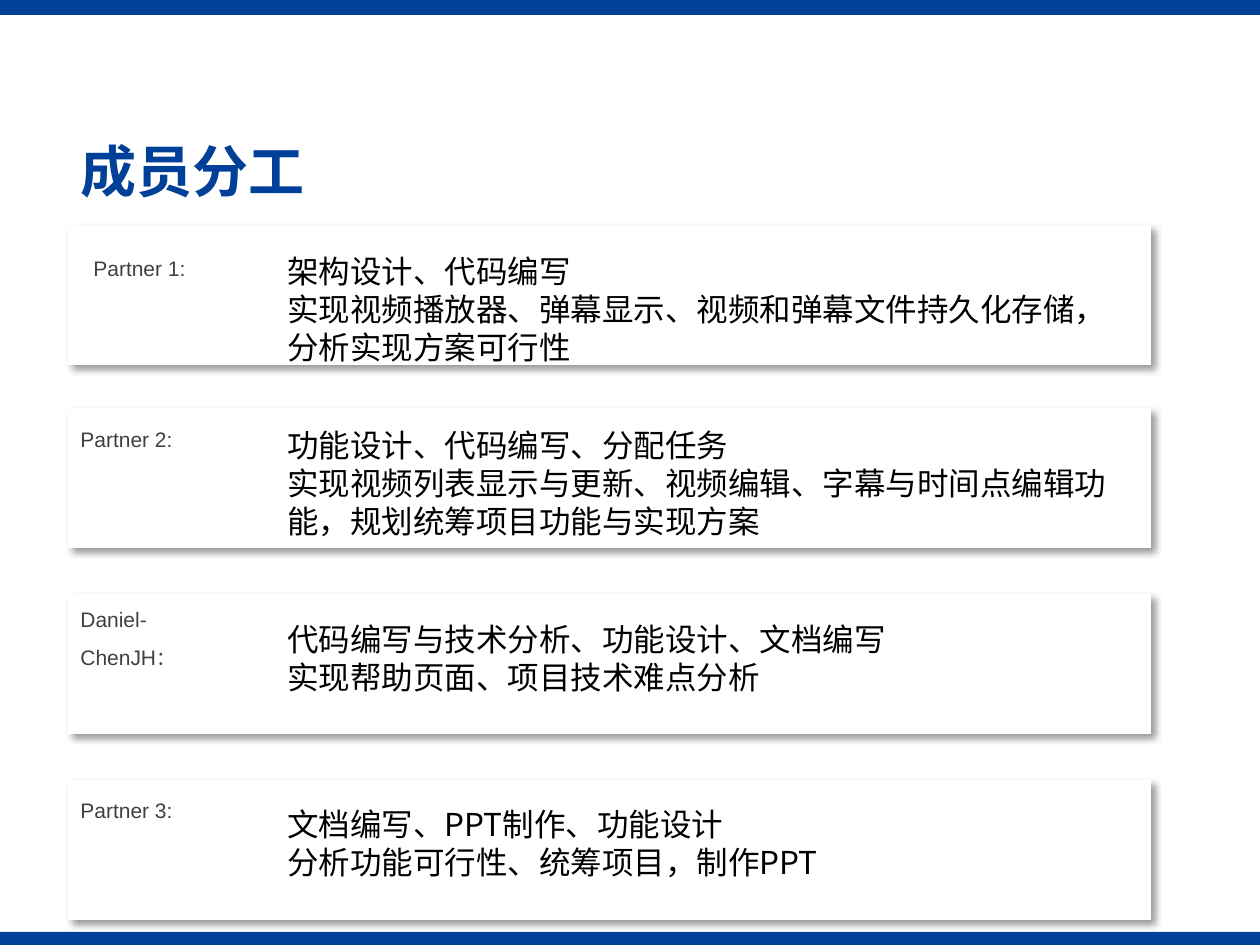
"""Build the slide on how the team members share the work."""
from lxml.etree import SubElement
from pptx import Presentation
from pptx.dml.color import RGBColor
from pptx.enum.shapes import MSO_SHAPE as Shape
from pptx.enum.text import MSO_ANCHOR as Anchor, MSO_AUTO_SIZE as AutoSize
from pptx.oxml.ns import qn
from pptx.util import Pt

COLORS = {"blue": "004098", "card": "FFFFFF", "text": "000000", "label": "404040"}
CJK, LATIN = "Noto Sans CJK SC", "Arial"
SCALE = 914400 / 126
WIDTH, HEIGHT = 1260, 945
TITLE = "成员分工"
BARS = [(0, 0, WIDTH, 15), (0, 932, WIDTH, 13)]
CARD_LEFT, CARD_WIDTH, CARD_HEIGHT = 68, 1083, 140
LABEL_WIDTH, LABEL_HEIGHT = 181, 47
TASK_LEFT, TASK_WIDTH = 275, 861

MEMBERS = [
    {"label": ["Partner 1:"], "card_top": 225, "label_at": (81, 237),
     "task_top": 246, "task_height": 127,
     "tasks": ["架构设计、代码编写",
               "实现视频播放器、弹幕显示、视频和弹幕文件持久化存储，分析实现方案可行性"]},
    {"label": ["Partner 2:"], "card_top": 408, "label_at": (68, 408),
     "task_top": 420, "task_height": 127,
     "tasks": ["功能设计、代码编写、分配任务",
               "实现视频列表显示与更新、视频编辑、字幕与时间点编辑功能，规划统筹项目功能与实现方案"]},
    {"label": ["Daniel-ChenJH", "："], "card_top": 594, "label_at": (68, 588),
     "task_top": 614, "task_height": 89,
     "tasks": ["代码编写与技术分析、功能设计、文档编写", "实现帮助页面、项目技术难点分析"]},
    {"label": ["Partner 3:"], "card_top": 780, "label_at": (68, 779),
     "task_top": 799, "task_height": 89,
     "tasks": ["文档编写、PPT制作、功能设计", "分析功能可行性、统筹项目，制作PPT"]},
]
LABEL_SIZES = [12, 11]


def px(*values):
    return [round(value * SCALE) for value in values]


def add_rectangle(slide, box, color):
    shape = slide.shapes.add_shape(Shape.RECTANGLE, *px(*box))
    shape.fill.solid()
    shape.fill.fore_color.rgb = RGBColor.from_string(COLORS[color])
    shape.line.fill.background()
    shape.shadow.inherit = False
    return shape


def add_card_shadow(shape):
    effects = shape._element.spPr.find(qn("a:effectLst"))
    shadow = SubElement(effects, qn("a:outerShdw"), blurRad=str(Pt(4)),
                        dist=str(Pt(3)), dir=str(45 * 60000),
                        algn="tl", rotWithShape="0")
    color = SubElement(shadow, qn("a:srgbClr"), val=COLORS["text"])
    SubElement(color, qn("a:alpha"), val="40000")


def style_run(run, size, font, color, bold=False):
    run.font.size = Pt(size)
    run.font.bold = bold
    run.font.color.rgb = RGBColor.from_string(COLORS[color])
    run.font.name = font
    SubElement(run._r.get_or_add_rPr(), qn("a:ea"), typeface=CJK)


def add_text_frame(slide, box, auto_size=AutoSize.SHAPE_TO_FIT_TEXT):
    text_frame = slide.shapes.add_textbox(*px(*box)).text_frame
    text_frame.word_wrap = True
    text_frame.auto_size = auto_size
    return text_frame


def add_title(slide):
    text_frame = add_text_frame(slide, (68, 135, 1154, 79), AutoSize.NONE)
    text_frame.vertical_anchor = Anchor.MIDDLE
    text_frame.text = TITLE
    paragraph = text_frame.paragraphs[0]
    paragraph.line_spacing = 0.9
    style_run(paragraph.runs[0], 32, CJK, "blue", True)


def add_member(slide, member):
    card = (CARD_LEFT, member["card_top"], CARD_WIDTH, CARD_HEIGHT)
    add_card_shadow(add_rectangle(slide, card, "card"))

    label = add_text_frame(slide, (*member["label_at"], LABEL_WIDTH, LABEL_HEIGHT))
    paragraph = label.paragraphs[0]
    paragraph.line_spacing = 1.5
    for text, size in zip(member["label"], LABEL_SIZES):
        run = paragraph.add_run()
        run.text = text
        style_run(run, size, LATIN, "label")

    tasks = add_text_frame(
        slide, (TASK_LEFT, member["task_top"], TASK_WIDTH, member["task_height"]))
    tasks.text = "\n".join(member["tasks"])
    for paragraph in tasks.paragraphs:
        style_run(paragraph.runs[0], 18, CJK, "text")


def main():
    presentation = Presentation()
    presentation.slide_width, presentation.slide_height = px(WIDTH, HEIGHT)
    slide = presentation.slides.add_slide(presentation.slide_layouts[6])
    for bar in BARS:
        add_rectangle(slide, bar, "blue")
    add_title(slide)
    for member in MEMBERS:
        add_member(slide, member)
    presentation.save("out.pptx")


if __name__ == "__main__":
    main()
